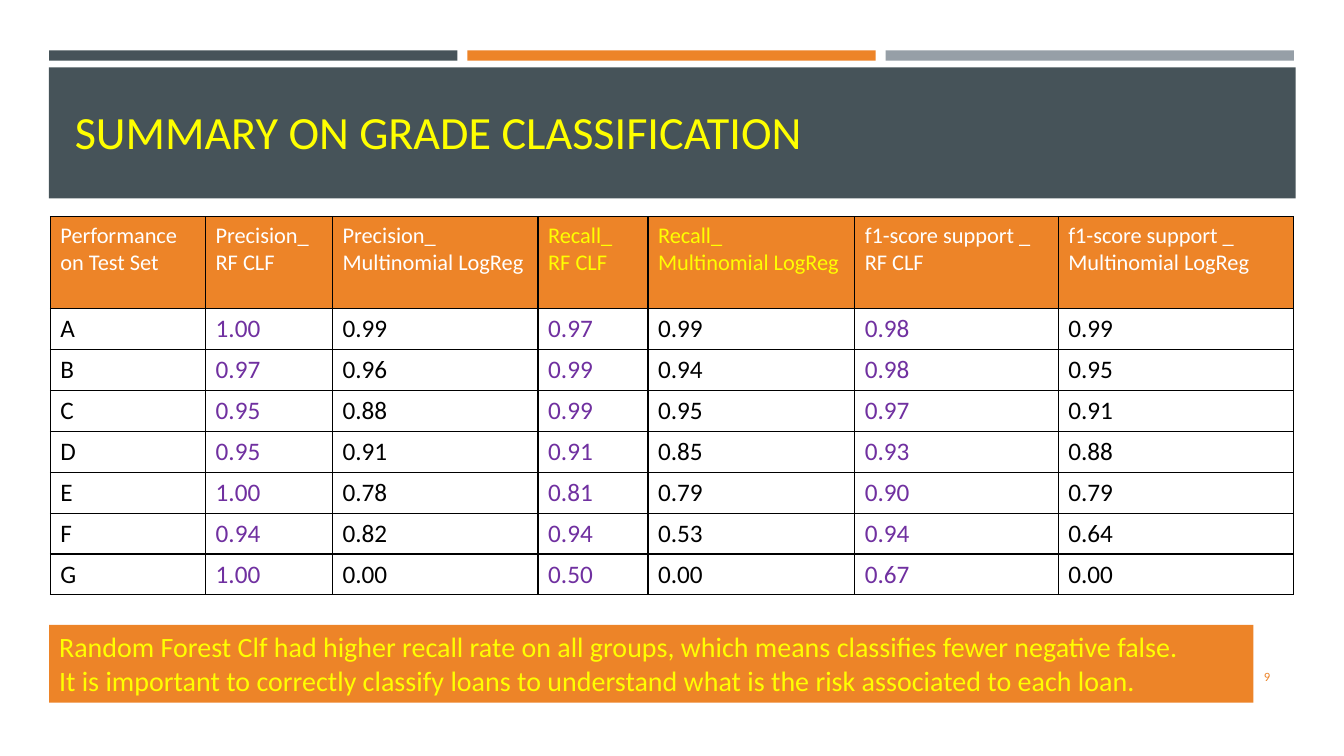
from dataclasses import dataclass

from lxml.etree import SubElement
from pptx import Presentation
from pptx.dml.color import RGBColor
from pptx.enum.shapes import MSO_SHAPE as Shape
from pptx.enum.text import MSO_ANCHOR as Anchor, MSO_AUTO_SIZE as AutoSize, PP_ALIGN as Align
from pptx.oxml.ns import qn
from pptx.util import Cm, Pt


@dataclass(frozen=True)
class Theme:
    font: str = "Calibri"
    slate: str = "465359"
    orange: str = "ED8428"
    gray: str = "969FA7"
    yellow: str = "FFFF00"
    white: str = "FFFFFF"
    black: str = "000000"
    purple: str = "7030A0"
    title_size: int = 33
    note_size: int = 20
    value_size: int = 18
    header_size: int = 16
    number_size: int = 9


def set_text(frame, text, *, font, size, color, align=Align.LEFT, anchor=Anchor.TOP):
    frame.word_wrap = True
    frame.auto_size = AutoSize.NONE
    frame.vertical_anchor = anchor
    for index, line in enumerate(text.split("\n")):
        paragraph = frame.add_paragraph() if index else frame.paragraphs[0]
        paragraph.alignment = align
        run = paragraph.add_run()
        run.text = line
        run.font.name = font
        run.font.size = Pt(size)
        run.font.color.rgb = RGBColor.from_string(color)


class SlideBuilder:
    """Draw styled elements on the current slide."""

    def __init__(self, deck, theme):
        self.theme = theme
        self.slide = deck.slides.add_slide(deck.slide_layouts[5])

    def block(self, box, fill):
        block = self.slide.shapes.add_shape(Shape.RECTANGLE, *map(Cm, box))
        block.shadow.inherit = False
        block.fill.solid()
        block.fill.fore_color.rgb = RGBColor.from_string(fill)
        block.line.fill.background()
        return block

    def title(self, text, box):
        title = self.slide.shapes.title
        self.slide.shapes._spTree.append(title._element)
        title.left, title.top, title.width, title.height = map(Cm, box)
        set_text(title.text_frame, text, font=self.theme.font, size=self.theme.title_size,
                 color=self.theme.yellow, anchor=Anchor.BOTTOM)

    def label(self, text, box, **style):
        label = self.slide.shapes.add_textbox(*map(Cm, box))
        set_text(label.text_frame, text, font=self.theme.font, **style)

    def note(self, text, box):
        note = self.block(box, self.theme.orange)
        set_text(note.text_frame, text, font=self.theme.font,
                 size=self.theme.note_size, color=self.theme.yellow)

    def border(self, cell):
        properties = cell._tc.get_or_add_tcPr()
        for index, side in enumerate(("a:lnL", "a:lnR", "a:lnT", "a:lnB")):
            line = properties.makeelement(qn(side), {"w": str(Pt(1))})
            properties.insert(index, line)
            fill = SubElement(line, qn("a:solidFill"))
            SubElement(fill, qn("a:srgbClr"), val=self.theme.black)

    def cell(self, cell, text, fill, **style):
        cell.fill.solid()
        cell.fill.fore_color.rgb = RGBColor.from_string(fill)
        self.border(cell)
        set_text(cell.text_frame, text, font=self.theme.font, **style)

    def score_table(self, headers, scores, left, top, widths, header_height, row_height):
        theme = self.theme
        height = header_height + row_height * len(scores)
        table = self.slide.shapes.add_table(
            len(scores) + 1, len(headers), Cm(left), Cm(top), Cm(sum(widths)), Cm(height)).table
        for column, width in zip(table.columns, widths):
            column.width = Cm(width)
        for index, row in enumerate(table.rows):
            row.height = Cm(row_height if index else header_height)
        for column, header in enumerate(headers):
            color = theme.yellow if header.startswith("Recall") else theme.white
            self.cell(table.cell(0, column), header, theme.orange,
                      size=theme.header_size, color=color)
        for row, (grade, values) in enumerate(scores.items(), 1):
            for column, value in enumerate([grade, *values.split()]):
                color = theme.purple if "RF CLF" in headers[column] else theme.black
                self.cell(table.cell(row, column), value, theme.white,
                          size=theme.value_size, color=color)


HEADERS = ["Performance on Test Set"] + [
    f"{metric}\n{model}"
    for metric in ("Precision_", "Recall_", "f1-score support _")
    for model in ("RF CLF", "Multinomial LogReg")
]
SCORES = {
    "A": "1.00 0.99 0.97 0.99 0.98 0.99",
    "B": "0.97 0.96 0.99 0.94 0.98 0.95",
    "C": "0.95 0.88 0.99 0.95 0.97 0.91",
    "D": "0.95 0.91 0.91 0.85 0.93 0.88",
    "E": "1.00 0.78 0.81 0.79 0.90 0.79",
    "F": "0.94 0.82 0.94 0.53 0.94 0.64",
    "G": "1.00 0.00 0.50 0.00 0.67 0.00",
}
COLUMN_WIDTHS = (3.91, 3.2, 5.18, 2.77, 5.21, 5.13, 5.92)
CONCLUSION = (
    "Random Forest Clf had higher recall rate on all groups, "
    "which means classifies fewer negative false.\n"
    "It is important to correctly classify loans to understand "
    "what is the risk associated to each loan."
)


def main():
    theme = Theme()
    deck = Presentation()
    deck.slide_width, deck.slide_height = Cm(33.87), Cm(19.05)
    summary = SlideBuilder(deck, theme)
    for index, color in enumerate((theme.slate, theme.orange, theme.gray)):
        summary.block((1.24 + 10.54 * index, 1.27, 10.29, 0.26), color)
    summary.block((1.23, 1.7, 31.42, 3.3), theme.slate)
    summary.title("SUMMARY ON GRADE CLASSIFICATION", (1.63, 1.96, 30.63, 2.18))
    summary.label("9", (29.34, 16.54, 2.92, 1.02), size=theme.number_size,
                  color=theme.orange, align=Align.RIGHT, anchor=Anchor.MIDDLE)
    summary.score_table(HEADERS, SCORES, 1.27, 5.46, COLUMN_WIDTHS, 2.32, 1.03)
    summary.note(CONCLUSION, (1.24, 15.75, 30.35, 1.96))
    deck.save("out.pptx")


if __name__ == "__main__":
    main()
